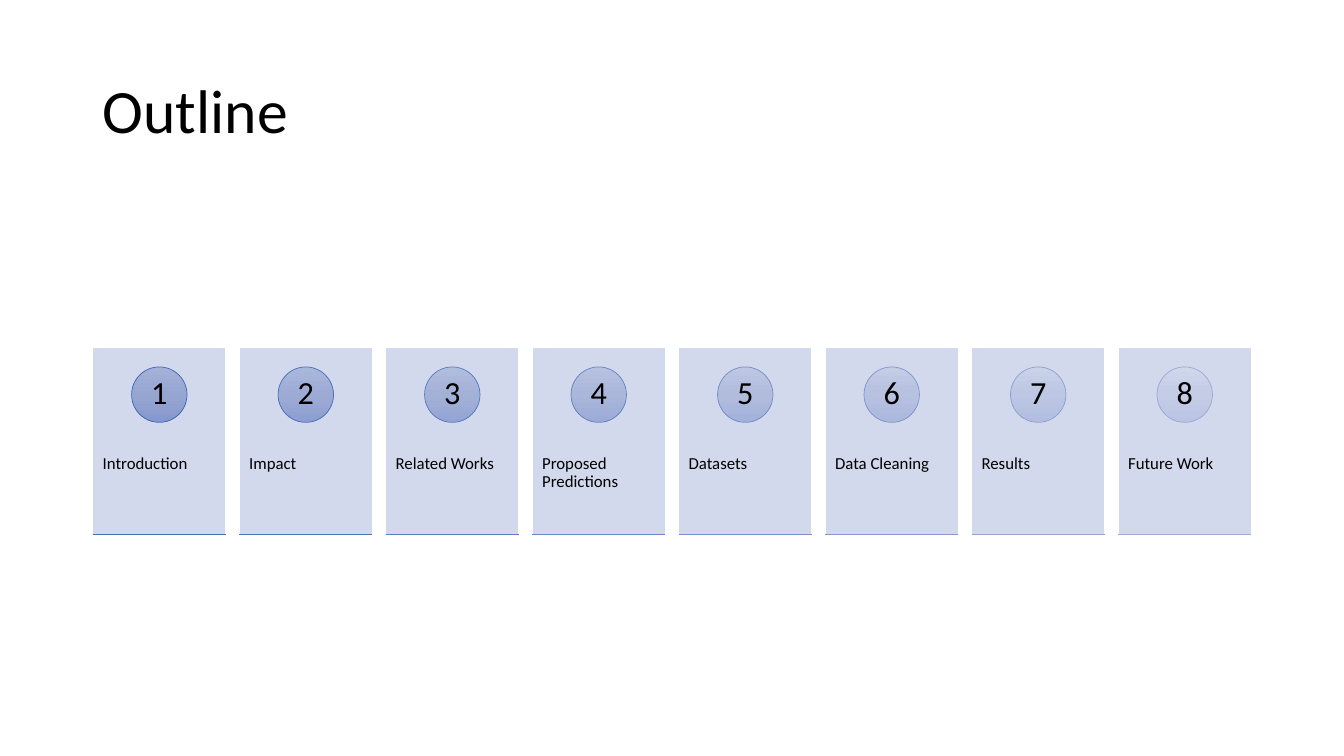
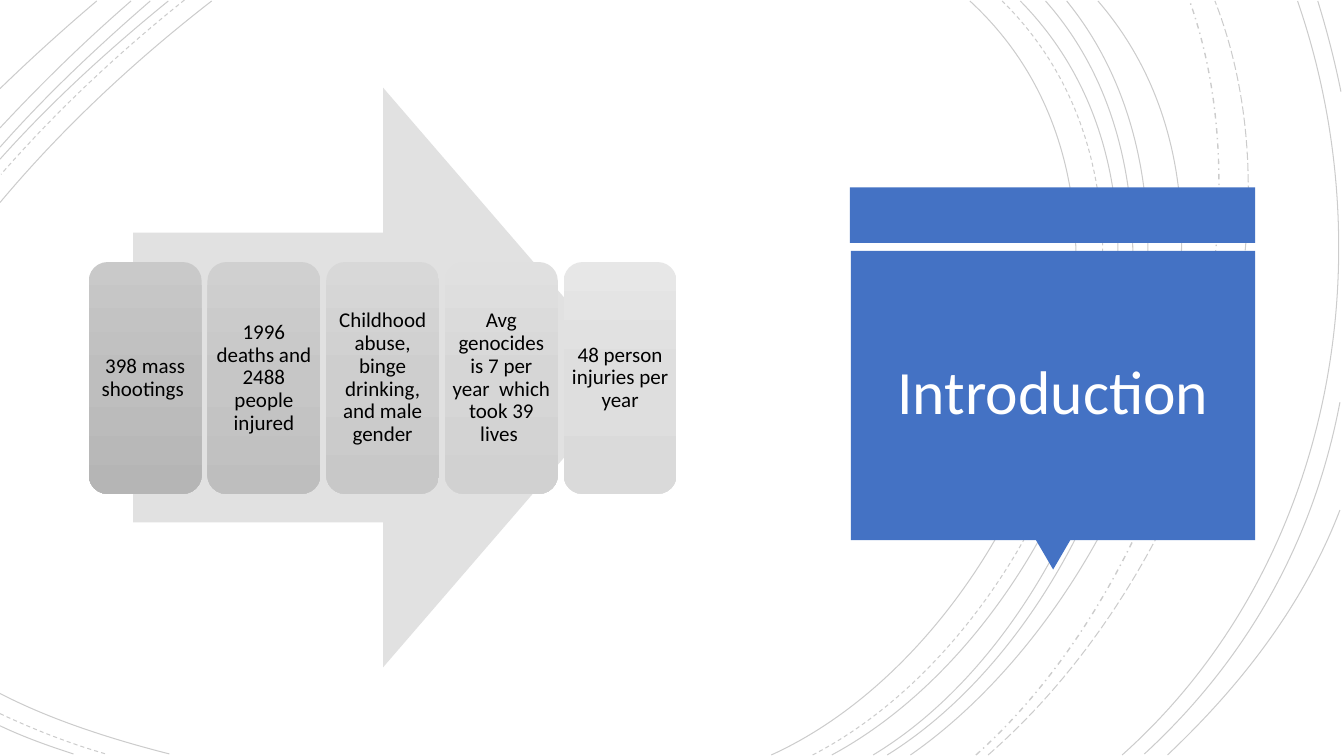
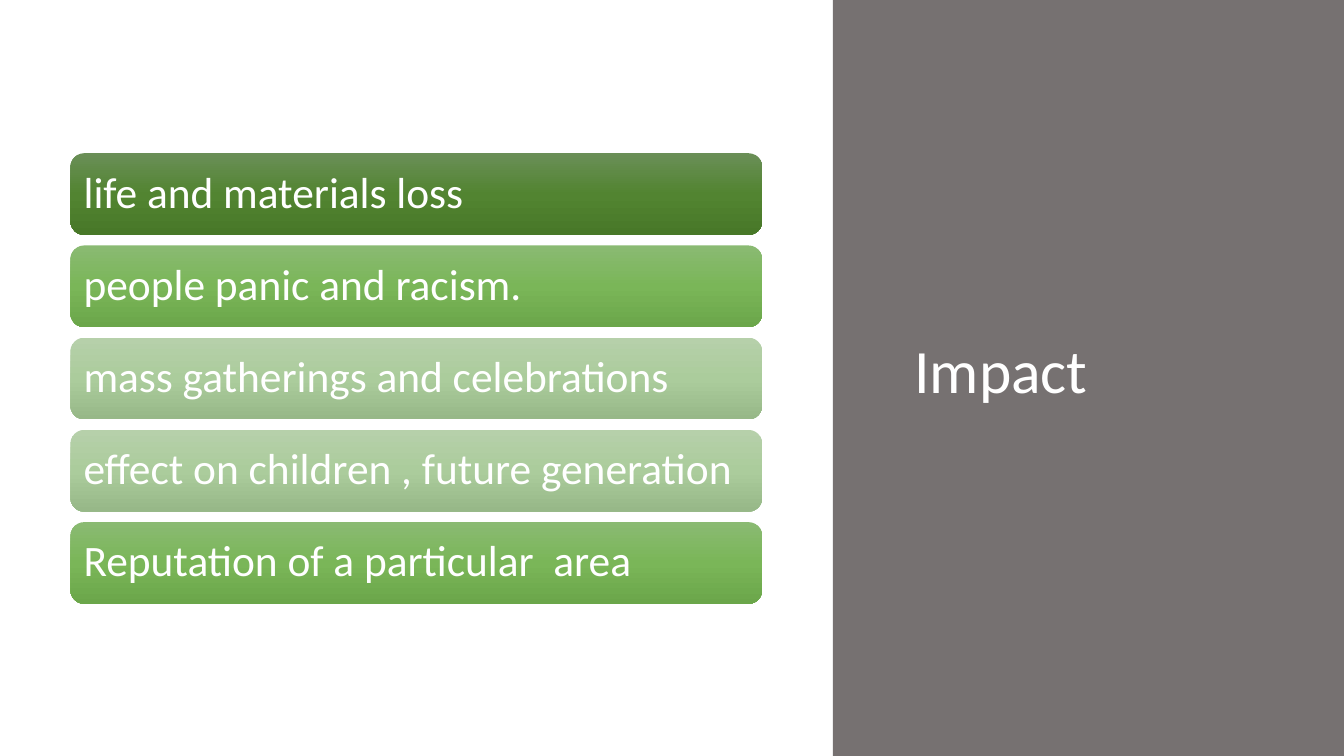
from copy import deepcopy
from dataclasses import dataclass

from lxml import etree
from pptx import Presentation
from pptx import util as u
from pptx.dml.color import RGBColor
from pptx.enum import dml, shapes, text
from pptx.oxml.ns import qn

SHAPE = shapes.MSO_SHAPE
ALIGN = text.PP_ALIGN
ANCHOR = text.MSO_ANCHOR
DASH = dml.MSO_LINE


@dataclass(frozen=True)
class Theme:
    font: str = "Calibri"
    line_spacing: float = 0.9
    title_size: int = 44
    bar_size: int = 31
    number_size: int = 23
    column_size: int = 15
    label_size: int = 12
    dark: str = "000000"
    light: str = "FFFFFF"
    accent: str = "4472C4"
    panel: str = "767171"
    card: str = "CFD5EA"
    arrow: str = "E1E1E1"
    step_first: tuple = ("A4B2D9", "97A6D1", "8497CE")
    step_last: tuple = ("D3DAED", "C7CFE8", "BEC8E6")
    step_line: tuple = ("3E67B2", "9FAED8")
    column_first: tuple = ("C9C9C9", "BEBEBE", "B5B5B5")
    column_last: tuple = ("E7E7E7", "DEDEDE", "DADADA")
    green_deep: tuple = ("6A8F57", "528431", "487828")
    green_mid: tuple = ("8ABA72", "7AB658", "6BA64A")
    green_pale: tuple = ("B6D0AA", "ABCC9C", "97B888")


THEME = Theme()

STEPS = ["Introduction", "Impact", "Related Works", "Proposed Predictions",
         "Datasets", "Data Cleaning", "Results", "Future Work"]

FACTS = ["398 mass shootings ",
         "1996 deaths and 2488 people injured",
         "Childhood abuse, binge drinking, and male gender",
         "Avg genocides is 7 per year  which took 39 lives ",
         "48 person injuries per year"]

IMPACTS = [("life and materials loss", THEME.green_deep),
           ("people panic and racism.", THEME.green_mid),
           ("mass gatherings and celebrations", THEME.green_pale),
           ("effect on children , future generation", THEME.green_pale),
           ("Reputation of a particular  area", THEME.green_mid)]

ARCS = {
    (DASH.SOLID, 0.75): [
        (7.65, 7.49, 10.16, 6.35, 11.88, 2.09, 9.62, 0.01),
        (0, 6.88, 0.52, 7.15, 1.13, 7.34, 1.68, 7.48),
        (2.1, 0.01, 1.34, 0.6, 0.62, 1.27, 0, 2.01),
        (8.25, 7.49, 10.61, 6.22, 12.21, 2.13, 10.12, 0.01),
        (0, 7.2, 0.23, 7.31, 0.48, 7.4, 0.73, 7.48),
        (1.67, 0.01, 1.08, 0.49, 0.51, 1.01, 0, 1.58),
        (8.66, 7.49, 10.87, 6.16, 12.21, 2.08, 10.37, 0.01),
        (1.49, 0.01, 0.97, 0.46, 0.46, 0.94, 0, 1.46),
        (8.8, 7.49, 11, 6.12, 12.33, 2.16, 10.58, 0.01),
        (1.3, 0.01, 0.84, 0.41, 0.41, 0.83, 0, 1.27),
        (9.03, 7.49, 11.13, 6.03, 12.78, 2.2, 10.89, 0.01),
        (0.96, 0.01, 0.63, 0.29, 0.31, 0.58, 0, 0.88),
        (11.13, 7.49, 13.2, 5.64, 13.76, 2.59, 12.87, 0.01),
        (11.35, 7.48, 12.38, 6.53, 13.03, 5.36, 13.29, 3.99),
        (13.3, 0.91, 13.24, 0.61, 13.16, 0.3, 13.07, 0.01),
        (11.58, 7.49, 12.31, 6.8, 12.93, 6, 13.29, 5.06),
    ],
    (DASH.DASH, 0.75): [
        (8.06, 7.49, 10.46, 6.25, 12.08, 2.12, 9.94, 0.01),
        (0, 7.08, 0.34, 7.24, 0.7, 7.38, 1.05, 7.48),
        (1.83, 0, 1.18, 0.52, 0.56, 1.1, 0.01, 1.73),
    ],
    (DASH.DASH_DOT, 1): [(9.68, 7.49, 11.54, 5.83, 12.65, 2.41, 11.8, 0.01)],
    (DASH.LONG_DASH, 0.75): [(9.8, 7.49, 11.73, 5.81, 13.02, 2.51, 12.05, 0.01)],
}


def rgb(value):
    return RGBColor.from_string(value)


def blend(first, last, share):
    pairs = zip(rgb(first), rgb(last))
    return str(RGBColor(*(round(a + (b - a) * share) for a, b in pairs)))


def blend_stops(first, last, share):
    return tuple(blend(a, b, share) for a, b in zip(first, last))


def spread(start, extent, size, count):
    pitch = (extent - size) / (count - 1)
    return [start + index * pitch for index in range(count)]


def set_attributes(target, values):
    for name, value in values.items():
        setattr(target, name, value)


def set_opacity(solid_fill, percent):
    alpha = etree.SubElement(solid_fill[0], qn("a:alpha"))
    alpha.set("val", str(percent * 1000))


def paint(shape, fill):
    if isinstance(fill, str):
        shape.fill.solid()
        shape.fill.fore_color.rgb = rgb(fill)
        return
    shape.fill.gradient()
    shape.fill.gradient_angle = 270
    stop_list = shape._element.spPr.find(".//" + qn("a:gsLst"))
    stop_list.append(deepcopy(stop_list[-1]))
    for index, (stop, colour) in enumerate(zip(shape.fill.gradient_stops, fill)):
        stop.position = index / 2
        stop.color.rgb = rgb(colour)


def outline(line, colour, width):
    line.width = u.Pt(width)
    line.fill.solid()
    line.fill.fore_color.rgb = rgb(colour)


def add_box(slide, kind, box, fill, line=None):
    shape = slide.shapes.add_shape(kind, *map(u.Inches, box))
    shape.shadow.inherit = False
    paint(shape, fill)
    if line:
        outline(shape.line, line, 0.5)
    else:
        shape.line.fill.background()
    return shape


def write(shape, content, size, colour, align=ALIGN.LEFT,
          anchor=ANCHOR.MIDDLE, insets=(0, 0, 0, 0)):
    frame = shape.text_frame
    frame.text = content
    left, top, right, bottom = map(u.Inches, insets)
    set_attributes(frame, {
        "word_wrap": True, "auto_size": text.MSO_AUTO_SIZE.NONE,
        "vertical_anchor": anchor, "margin_left": left, "margin_top": top,
        "margin_right": right, "margin_bottom": bottom})
    paragraph = frame.paragraphs[0]
    set_attributes(paragraph, {
        "alignment": align, "line_spacing": THEME.line_spacing})
    font = paragraph.runs[0].font
    set_attributes(font, {"name": THEME.font, "size": u.Pt(size)})
    font.color.rgb = rgb(colour)


def add_slide(presentation):
    return presentation.slides.add_slide(presentation.slide_layouts[5])


def place_title(slide, content, box, colour, align=ALIGN.LEFT):
    title = slide.shapes.title
    title._element.getparent().append(title._element)
    names = ("left", "top", "width", "height")
    set_attributes(title, dict(zip(names, map(u.Inches, box))))
    write(title, content, THEME.title_size, colour, align,
          insets=(0.1, 0.05, 0.1, 0.05))


def add_rule(slide, left, top, width, colour):
    ends = map(u.Inches, (left, top, left + width, top))
    rule = slide.shapes.add_connector(shapes.MSO_CONNECTOR.STRAIGHT, *ends)
    outline(rule.line, colour, 0.5)
    etree.SubElement(rule._element.spPr, qn("a:effectLst"))


def add_arc(slide, controls, dash, width):
    lengths = [u.Inches(value) for value in controls]
    start, *others = zip(lengths[::2], lengths[1::2])
    builder = slide.shapes.build_freeform(*start)
    builder.add_line_segments(others, close=False)
    arc = builder.convert_to_shape()

    segments = list(arc._element.iter(qn("a:lnTo")))
    curve = etree.SubElement(segments[0].getparent(), qn("a:cubicBezTo"))
    for segment in segments:
        curve.append(segment[0])
        segment.getparent().remove(segment)

    arc.shadow.inherit = False
    arc.fill.background()
    outline(arc.line, THEME.dark, width)
    arc.line.dash_style = dash
    set_opacity(arc._element.spPr.find(qn("a:ln")).find(qn("a:solidFill")), 20)


def add_step(slide, left, index, count):
    width, top, height, diameter = 1.32, 3.45, 1.85, 0.55
    last_shade = 2 * count - 1
    circle_share, rule_share = 2 * index / last_shade, (2 * index + 1) / last_shade

    card = add_box(slide, SHAPE.RECTANGLE, (left, top, width, height),
                   THEME.card, THEME.light)
    set_opacity(card._element.spPr.find(qn("a:solidFill")), 90)
    write(card, STEPS[index], THEME.label_size, THEME.dark,
          anchor=ANCHOR.TOP, insets=(0.1, 1.06, 0.1, 0))

    circle = add_box(slide, SHAPE.OVAL,
                     (left + (width - diameter) / 2, 3.64, diameter, diameter),
                     blend_stops(THEME.step_first, THEME.step_last, circle_share),
                     blend(*THEME.step_line, circle_share))
    write(circle, str(index + 1), THEME.number_size, THEME.dark, ALIGN.CENTER,
          insets=(0, 0, 0, 0.02))
    add_rule(slide, left, top + height, width, blend(*THEME.step_line, rule_share))


def build_outline(presentation):
    slide = add_slide(presentation)
    place_title(slide, "Outline", (0.92, 0.4, 11.5, 1.45), THEME.dark)
    for index, left in enumerate(spread(0.92, 11.49, 1.32, len(STEPS))):
        add_step(slide, left, index, len(STEPS))


def build_introduction(presentation):
    slide = add_slide(presentation)
    for (dash, width), arcs in ARCS.items():
        for controls in arcs:
            add_arc(slide, controls, dash, width)

    add_box(slide, SHAPE.RECTANGLE, (8.43, 1.86, 4.02, 0.55), THEME.accent)
    pointer = add_box(slide, SHAPE.ISOSCELES_TRIANGLE, (10.27, 5.35, 0.35, 0.3),
                      THEME.accent)
    pointer.rotation = 180
    add_box(slide, SHAPE.RECTANGLE, (8.44, 2.49, 4.01, 2.87), THEME.accent)
    place_title(slide, "Introduction", (8.53, 2.57, 3.83, 2.69), THEME.light,
                ALIGN.CENTER)

    add_box(slide, SHAPE.RIGHT_ARROW, (1.32, 0.87, 4.96, 5.75), THEME.arrow)
    lefts = spread(0.88, 5.83, 1.12, len(FACTS))
    for index, (left, fact) in enumerate(zip(lefts, FACTS)):
        shade = blend_stops(THEME.column_first, THEME.column_last,
                            index / (len(FACTS) - 1))
        column = add_box(slide, SHAPE.ROUNDED_RECTANGLE, (left, 2.6, 1.12, 2.3), shade)
        write(column, fact, THEME.column_size, THEME.dark, ALIGN.CENTER)


def build_impact(presentation):
    slide = add_slide(presentation)
    add_box(slide, SHAPE.RECTANGLE, (8.26, 0, 5.07, 7.5), THEME.panel)
    place_title(slide, "Impact", (8.97, 0.7, 4.01, 6.02), THEME.light)
    tops = spread(1.52, 4.47, 0.81, len(IMPACTS))
    for top, (impact, shade) in zip(tops, IMPACTS):
        bar = add_box(slide, SHAPE.ROUNDED_RECTANGLE, (0.7, top, 6.86, 0.81), shade)
        write(bar, impact, THEME.bar_size, THEME.light, insets=(0.09, 0, 0.09, 0))


def main():
    presentation = Presentation()
    set_attributes(presentation, {
        "slide_width": u.Inches(13.33), "slide_height": u.Inches(7.5)})
    build_outline(presentation)
    build_introduction(presentation)
    build_impact(presentation)
    presentation.save("out.pptx")


if __name__ == "__main__":
    main()
